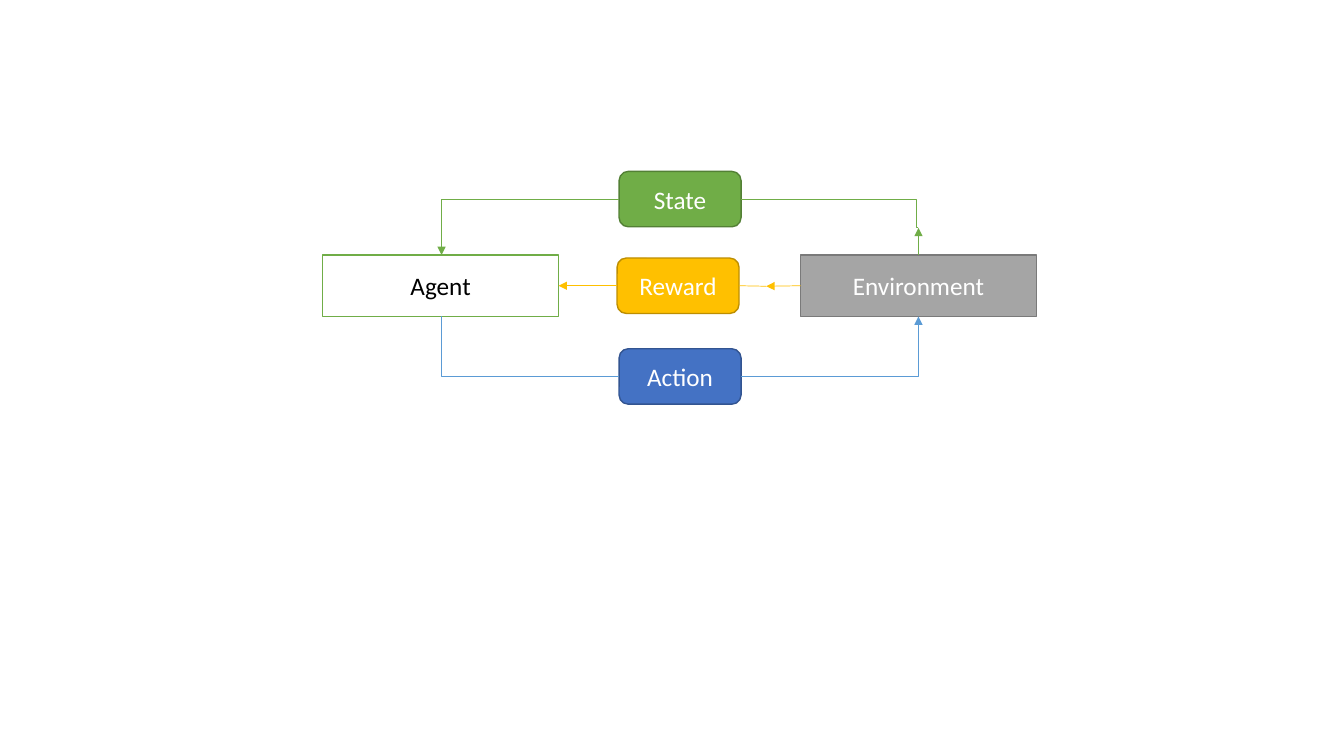
"""Draw the agent and environment loop of reinforcement learning."""
from lxml import etree
from pptx import Presentation
from pptx import util as u
from pptx.dml.color import RGBColor
from pptx.enum import shapes, text
from pptx.oxml import ns

WHITE = RGBColor(0xFF, 0xFF, 0xFF)
BLACK = RGBColor(0x00, 0x00, 0x00)
GREEN = RGBColor(0x70, 0xAD, 0x47)
MOSS = RGBColor(0x53, 0x80, 0x35)
GRAY = RGBColor(0xA5, 0xA5, 0xA5)
SLATE = RGBColor(0x7A, 0x7A, 0x7A)
GOLD = RGBColor(0xFF, 0xC0, 0x00)
AMBER = RGBColor(0xBD, 0x8E, 0x00)
BLUE = RGBColor(0x44, 0x72, 0xC4)
NAVY = RGBColor(0x32, 0x54, 0x91)
SKY = RGBColor(0x5B, 0x9B, 0xD5)

RECT = shapes.MSO_SHAPE.RECTANGLE
ROUND = shapes.MSO_SHAPE.ROUNDED_RECTANGLE
BLOCK = (2.34, 0.61)
LABEL = (1.21, 0.55)
TOP, LEFT, BOTTOM, RIGHT = range(4)


class Board:
    font = "Calibri"
    size = u.Pt(18)
    edge = u.Pt(1)
    thin = u.Pt(0.5)

    def __init__(self, slide):
        self.items = slide.shapes

    def box(self, words, kind, place, size, fill, line, ink=WHITE):
        shape = self.items.add_shape(kind, *map(u.Inches, place + size))
        shape.shadow.inherit = False
        shape.fill.solid()
        shape.fill.fore_color.rgb = fill
        shape.line.color.rgb = line
        shape.line.width = self.edge
        frame = shape.text_frame
        frame.text = words
        frame.vertical_anchor = text.MSO_ANCHOR.MIDDLE
        para = frame.paragraphs[0]
        para.alignment = text.PP_ALIGN.CENTER
        font = para.runs[0].font
        font.name, font.size = self.font, self.size
        font.color.rgb = ink
        return shape

    def line(self, start, end, color, arrow=False, kind=shapes.MSO_CONNECTOR.STRAIGHT):
        link = self.items.add_connector(kind, *map(u.Inches, start + end))
        link.line.color.rgb = color
        link.line.width = self.thin
        if arrow:
            etree.SubElement(link.line._get_or_add_ln(), ns.qn("a:tailEnd"), type="triangle")
        etree.SubElement(link._element.spPr, ns.qn("a:effectLst"))
        return link

    def bend(self, start, end, color, arrow=False, shift=None):
        link = self.line(start, end, color, arrow, shapes.MSO_CONNECTOR.ELBOW)
        geom = link._element.spPr.find(ns.qn("a:prstGeom"))
        if shift is None:
            geom.set("prst", "bentConnector2")
        else:
            guides = geom.find(ns.qn("a:avLst"))
            etree.SubElement(guides, ns.qn("a:gd"), name="adj1", fmla=f"val {shift}")
        return link


def main():
    deck = Presentation()
    deck.slide_width, deck.slide_height = u.Inches(13.33), u.Inches(7.5)
    board = Board(deck.slides.add_slide(deck.slide_layouts[6]))

    agent = board.box("Agent", RECT, (3.2, 2.53), BLOCK, WHITE, GREEN, BLACK)
    world = board.box("Environment", RECT, (7.94, 2.53), BLOCK, GRAY, SLATE)
    reward = board.box("Reward", ROUND, (6.12, 2.56), LABEL, GOLD, AMBER)
    board.box("Action", ROUND, (6.14, 3.46), LABEL, BLUE, NAVY)
    board.box("State", ROUND, (6.14, 1.7), LABEL, GREEN, MOSS)

    near, far = 4.38, 9.11
    left, right = 6.14, 7.35
    upper, middle, lower = 1.98, 2.84, 3.73
    roof, floor = 2.53, 3.14
    split, step = 7.6, 2.26

    board.line((split, middle), (7.33, middle), GOLD).end_connect(reward, RIGHT)
    pay = board.line((6.12, middle), (5.54, middle), GOLD, arrow=True)
    pay.begin_connect(reward, LEFT)
    pay.end_connect(agent, RIGHT)
    board.bend((far, step), (right, upper), GREEN, shift=1200)
    board.bend((left, upper), (near, roof), GREEN, arrow=True)
    board.bend((left, lower), (near, floor), SKY)
    board.bend((right, lower), (far, floor), SKY, arrow=True)
    board.line((7.94, middle), (split, middle), GOLD, arrow=True).begin_connect(world, LEFT)
    board.line((far, roof), (far, step), GREEN, arrow=True).begin_connect(world, TOP)

    deck.save("out.pptx")


if __name__ == "__main__":
    main()
